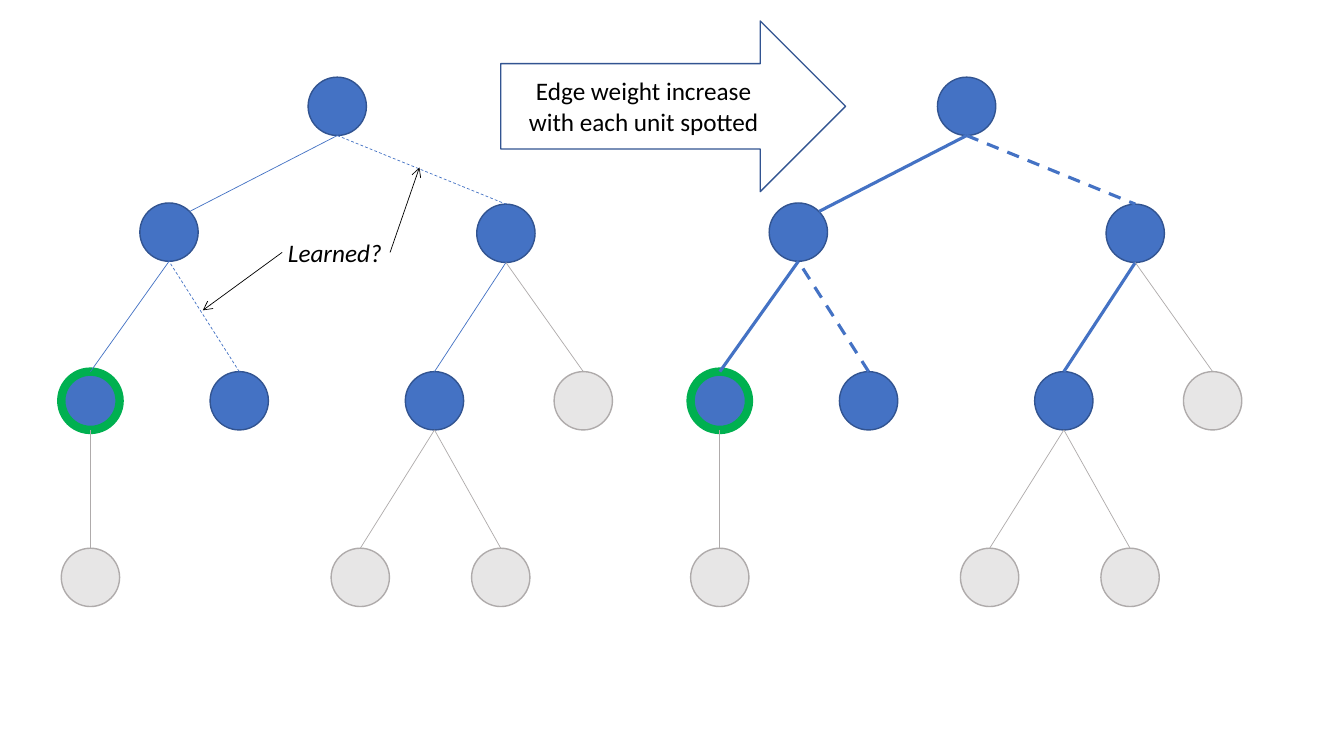
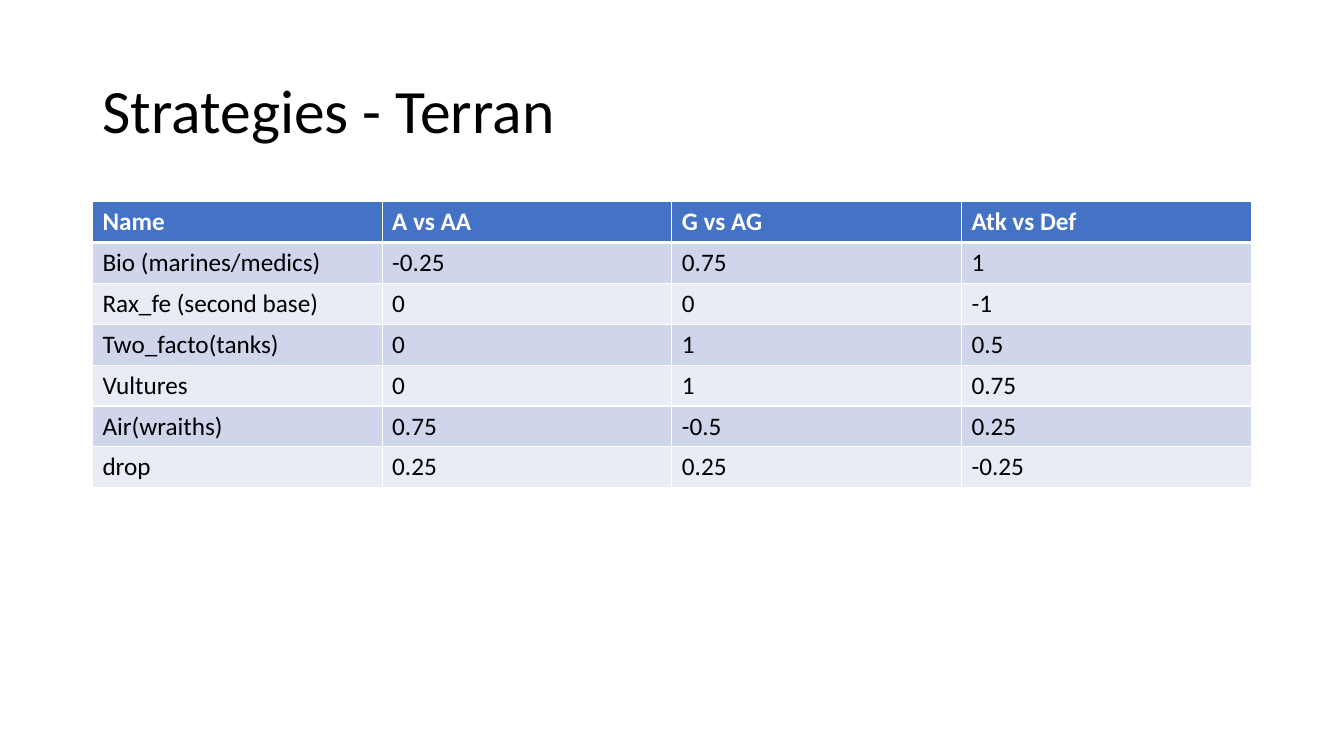
import dataclasses

import lxml.etree
import pptx
import pptx.dml.color
import pptx.enum.dml
import pptx.enum.shapes
import pptx.enum.text
import pptx.oxml.ns
import pptx.util

Cm = pptx.util.Cm
Pt = pptx.util.Pt
qn = pptx.oxml.ns.qn
SHAPE = pptx.enum.shapes.MSO_SHAPE
ALIGN = pptx.enum.text.PP_ALIGN
ANCHOR = pptx.enum.text.MSO_ANCHOR


@dataclasses.dataclass(frozen=True)
class Theme:
    font: str = "Calibri"
    title_size: float = 44
    body_size: float = 18
    black: str = "000000"
    white: str = "FFFFFF"
    blue: str = "4472C4"
    blue_edge: str = "325491"
    grey: str = "E7E6E6"
    grey_edge: str = "AFABAB"
    green: str = "00B050"
    bands: tuple = ("CFD5EA", "E9EBF5")
    thin: float = 0.5
    outline: float = 1
    bold_line: float = 2.25
    ring: float = 6
    header_rule: float = 3


THEME = Theme()

NODE_SIZE = 1.47
RADIUS = NODE_SIZE / 2
TREE_SHIFT = 15.86
NODES = {
    "root": (8.5, 2.68),
    "left": (4.26, 5.85),
    "goal": (2.28, 10.1),
    "left_right": (6.03, 10.1),
    "right": (12.75, 5.88),
    "goal_leaf": (2.28, 14.55),
    "right_left": (10.95, 10.1),
    "right_right": (14.7, 10.1),
    "leaf_a": (9.08, 14.55),
    "leaf_b": (12.62, 14.55),
}
UNSEEN = {"goal_leaf", "right_right", "leaf_a", "leaf_b"}
LEARNED = {"left_right", "right"}
PARENTS = {
    "left": "root",
    "right": "root",
    "goal": "left",
    "left_right": "left",
    "goal_leaf": "goal",
    "right_left": "right",
    "right_right": "right",
    "leaf_a": "right_left",
    "leaf_b": "right_left",
}

STRATEGIES = [
    ("Name", "A vs AA", "G vs AG", "Atk vs Def"),
    ("Bio (marines/medics)", "-0.25", "0.75", "1"),
    ("Rax_fe (second base)", "0", "0", "-1"),
    ("Two_facto(tanks)", "0", "1", "0.5"),
    ("Vultures", "0", "1", "0.75"),
    ("Air(wraiths)", "0.75", "-0.5", "0.25"),
    ("drop", "0.25", "0.25", "-0.25"),
]


def rgb(value):
    return pptx.dml.color.RGBColor.from_string(value)


def write(tf, text, size=THEME.body_size, color=THEME.black, bold=False,
          italic=False, align=ALIGN.LEFT, spacing=None):
    tf.word_wrap = True
    p = tf.paragraphs[0]
    p.alignment = align
    p.line_spacing = spacing
    r = p.add_run()
    r.text = text
    font = r.font
    font.name, font.size = THEME.font, Pt(size)
    font.bold, font.italic = bold, italic
    font.color.rgb = rgb(color)


def add_label(slide, box, text, **fmt):
    sp = slide.shapes.add_textbox(*map(Cm, box))
    write(sp.text_frame, text, align=ALIGN.CENTER, **fmt)


def add_outlined(slide, kind, box, fill, line, width):
    sp = slide.shapes.add_shape(kind, *map(Cm, box))
    sp.shadow.inherit = False
    if fill:
        sp.fill.solid()
        sp.fill.fore_color.rgb = rgb(fill)
    else:
        sp.fill.background()
    sp.line.color.rgb = rgb(line)
    sp.line.width = Pt(width)


def add_line(slide, start, end, color, width, dashed=False, arrow=False):
    straight = pptx.enum.shapes.MSO_CONNECTOR.STRAIGHT
    cxn = slide.shapes.add_connector(straight, *map(Cm, (*start, *end)))
    cxn.line.color.rgb = rgb(color)
    cxn.line.width = Pt(width)
    if dashed:
        cxn.line.dash_style = pptx.enum.dml.MSO_LINE.DASH
    sp_pr = cxn.element.find(qn("p:spPr"))
    if arrow:
        lxml.etree.SubElement(sp_pr.find(qn("a:ln")), qn("a:tailEnd"), type="arrow")
    lxml.etree.SubElement(sp_pr, qn("a:effectLst"))


def add_node(slide, name, x, y):
    fill, line, width = THEME.blue, THEME.blue_edge, THEME.outline
    if name in UNSEEN:
        fill, line = THEME.grey, THEME.grey_edge
    elif name == "goal":
        line, width = THEME.green, THEME.ring
    box = (x - RADIUS, y - RADIUS, NODE_SIZE, NODE_SIZE)
    add_outlined(slide, SHAPE.OVAL, box, fill, line, width)


def add_tree(slide, shift, weight):
    places = {name: (x + shift, y) for name, (x, y) in NODES.items()}
    for name, (x, y) in places.items():
        add_node(slide, name, x, y)
    for child, parent in PARENTS.items():
        (x, y), (px, py) = places[child], places[parent]
        top, bottom = (x, y - RADIUS), (px, py + RADIUS)
        if child == "left":
            diagonal = RADIUS * 0.71
            top = (x + diagonal, y - diagonal)
        ends = (bottom, top) if parent == "root" else (top, bottom)
        if child in UNSEEN:
            add_line(slide, *ends, THEME.grey_edge, THEME.thin)
        else:
            add_line(slide, *ends, THEME.blue, weight, dashed=child in LEARNED)


def set_borders(cell, **widths):
    tc_pr = cell._tc.get_or_add_tcPr()
    for side in "LRTB":
        ln = lxml.etree.SubElement(tc_pr, qn(f"a:ln{side}"),
                                   w=str(Pt(widths.get(side, THEME.outline))))
        fill = lxml.etree.SubElement(ln, qn("a:solidFill"))
        lxml.etree.SubElement(fill, qn("a:srgbClr"), val=THEME.white)


def add_table(slide, rows, left, top, column_width, row_height):
    columns = len(rows[0])
    frame = slide.shapes.add_table(
        len(rows), columns, Cm(left), Cm(top),
        Cm(column_width * columns), Cm(row_height * len(rows)))
    table = frame.table
    for column in table.columns:
        column.width = Cm(column_width)
    for i, values in enumerate(rows):
        table.rows[i].height = Cm(row_height)
        header = i == 0
        rule = {0: {"B": THEME.header_rule}, 1: {"T": THEME.header_rule}}.get(i, {})
        for j, value in enumerate(values):
            cell = table.cell(i, j)
            set_borders(cell, **rule)
            cell.fill.solid()
            cell.fill.fore_color.rgb = rgb(THEME.blue if header else THEME.bands[(i - 1) % 2])
            write(cell.text_frame, value, bold=header,
                  color=THEME.white if header else THEME.black)


def set_title(slide, text):
    sp = slide.shapes.title
    sp.left, sp.top, sp.width, sp.height = map(Cm, (2.33, 1.01, 29.21, 3.68))
    tf = sp.text_frame
    tf.auto_size = pptx.enum.text.MSO_AUTO_SIZE.NONE
    tf.vertical_anchor = ANCHOR.MIDDLE
    write(tf, text, size=THEME.title_size, spacing=0.9)


def build_trees(prs):
    slide = prs.slides.add_slide(prs.slide_layouts[6])
    add_tree(slide, 0, THEME.thin)
    add_tree(slide, TREE_SHIFT, THEME.bold_line)
    add_outlined(slide, SHAPE.RIGHT_ARROW, (12.62, 0.53, 8.69, 4.3),
                 None, THEME.blue_edge, THEME.outline)
    add_label(slide, (12.62, 1.78, 7.2, 1.8), "Edge weight increase with each unit spotted")
    add_label(slide, (6.64, 5.85, 3.6, 1.03), "Learned?", italic=True)
    for start, end in (((7.11, 6.36), (5.11, 7.82)), ((9.83, 6.36), (10.57, 4.22))):
        add_line(slide, start, end, THEME.black, THEME.thin, arrow=True)


def build_strategies(prs):
    slide = prs.slides.add_slide(prs.slide_layouts[5])
    set_title(slide, "Strategies - Terran")
    add_table(slide, STRATEGIES, 2.33, 5.08, 7.3, 1.03)


def main():
    prs = pptx.Presentation()
    prs.slide_width, prs.slide_height = Cm(33.87), Cm(19.05)
    build_trees(prs)
    build_strategies(prs)
    prs.save("out.pptx")


if __name__ == "__main__":
    main()
